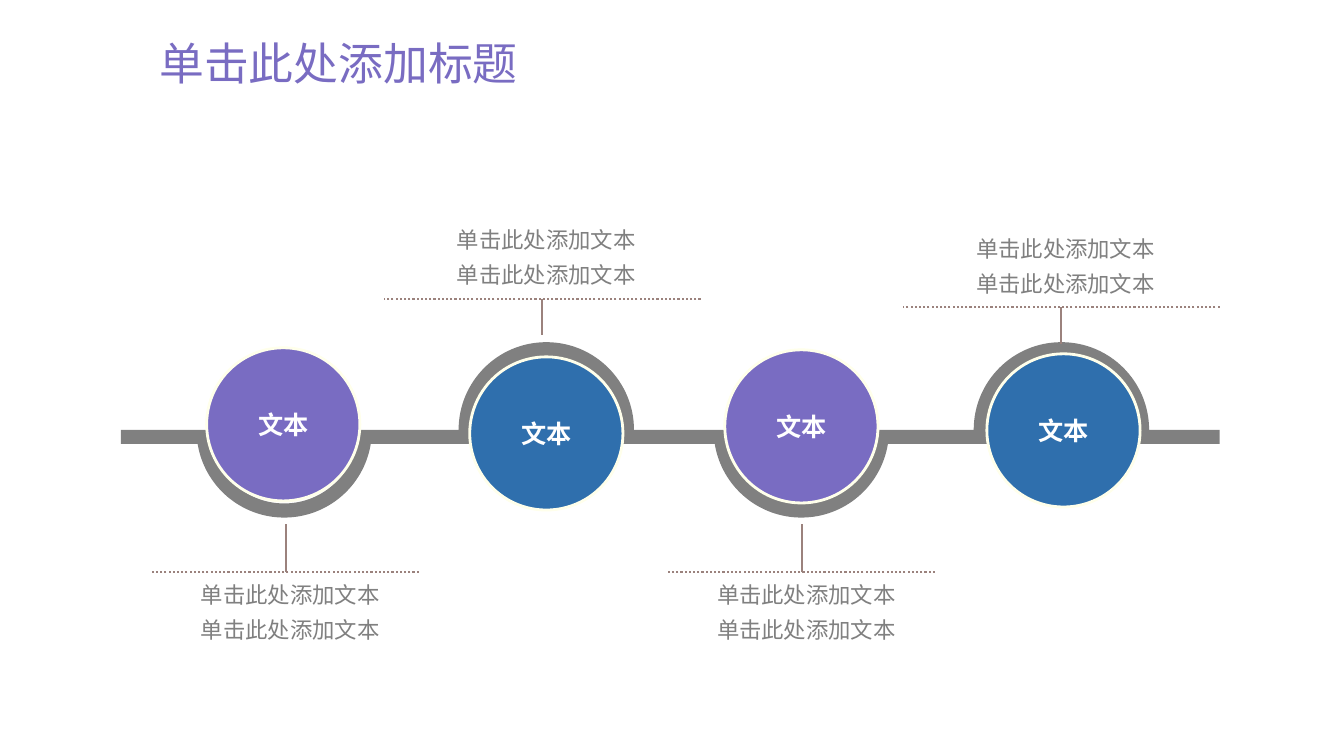
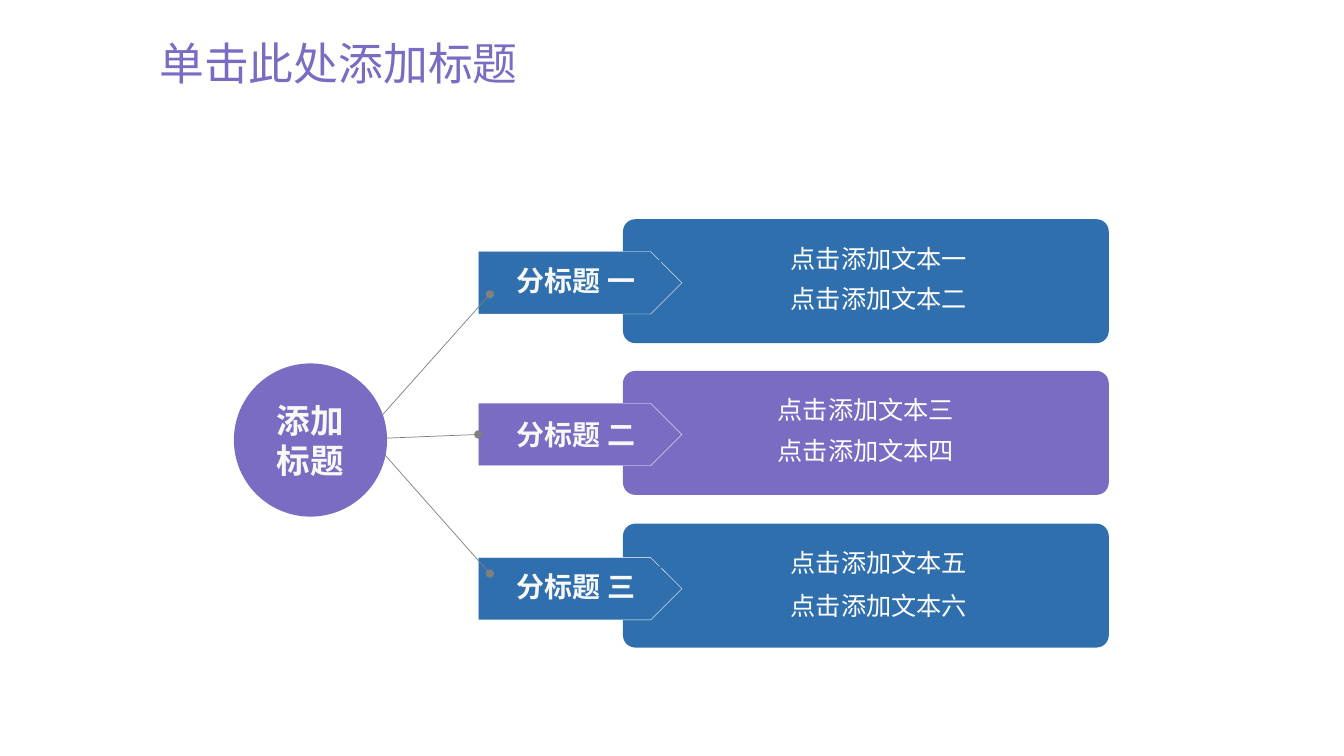
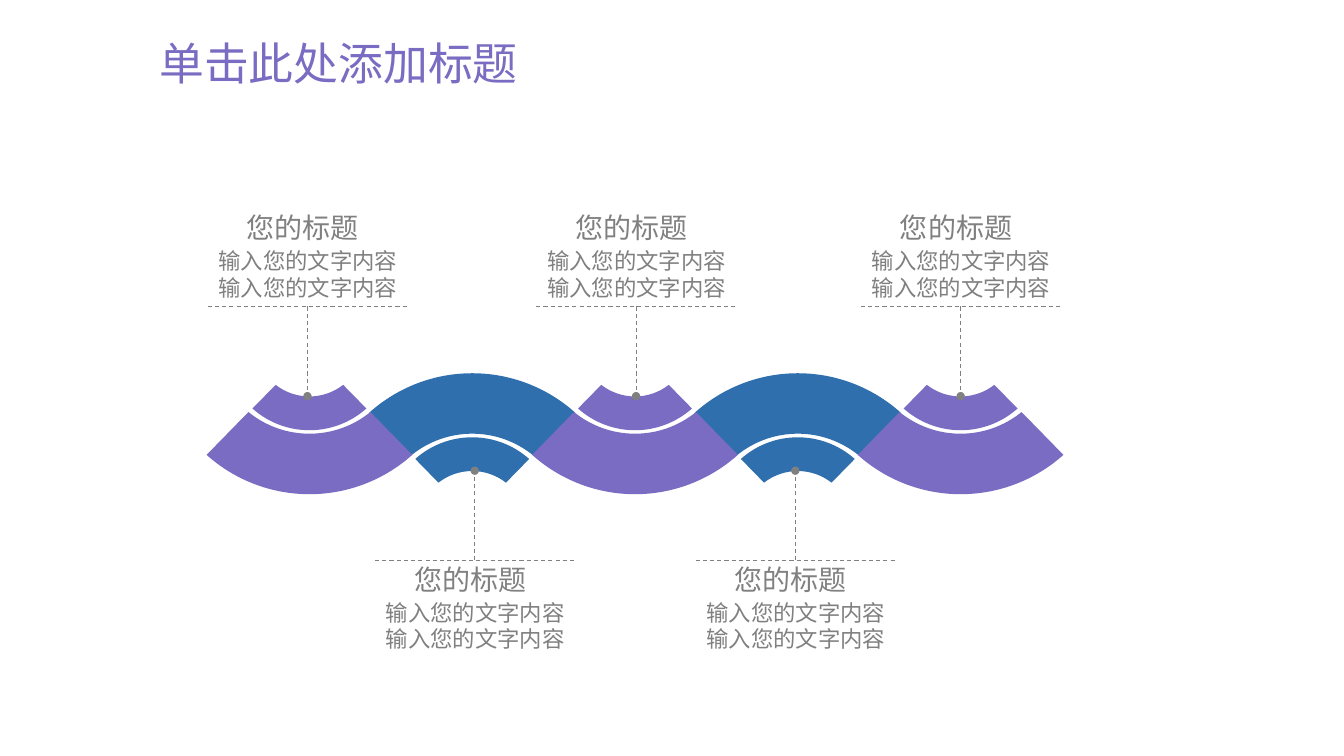
from math import asin, cos, pi, sin, tan

from lxml.etree import SubElement
from pptx import Presentation
from pptx.dml.color import RGBColor
from pptx.enum.dml import MSO_LINE as DASH
from pptx.enum.shapes import MSO_CONNECTOR as LINK, MSO_SHAPE as SHAPE
from pptx.enum.text import MSO_ANCHOR as ANCHOR, MSO_AUTO_SIZE as FIT, PP_ALIGN as ALIGN
from pptx.oxml.ns import qn
from pptx.util import Inches, Pt

# Shared look
PURPLE, BLUE, GREY, WHITE = "796CC2", "2F6FAD", "808080", "FFFFFF"
PALE, BROWN, IVORY = "F8F8F8", "9B827D", "FFFFEB"
CJK = "Noto Sans CJK SC"
MIDDLE = {"vertical_anchor": ANCHOR.MIDDLE}
COLS, ROWS = 133.33, 75  # grid of square cells, a tenth of an inch each
rgb = RGBColor.from_string


def grid(*cells):
    return [Inches(cell / 10) for cell in cells]


def dress(item, fill=None, line=None, width=1, dash=None, ends=(), text=(),
          color=WHITE, font=None, para=None, frame=None):
    """Set fill, line and text of a shape, or the line of a connector."""
    if line:
        item.line.color.rgb = rgb(line)
        item.line.width = Pt(width)
        item.line.dash_style = dash
    else:
        item.line.fill.background()
    if not hasattr(item, "fill"):
        outline = item.line._get_or_add_ln()
        for end in ends:
            SubElement(outline, qn(f"a:{end}"), type="oval")
        SubElement(item._element.spPr, qn("a:effectLst"))
        return
    item.shadow.inherit = False
    if fill:
        item.fill.solid()
        item.fill.fore_color.rgb = rgb(fill)
    else:
        item.fill.background()
    if not text:
        return
    body = item.text_frame
    body.word_wrap = True
    for name, value in (frame or {}).items():
        setattr(body, name, value)
    for index, words in enumerate(text):
        paragraph = body.add_paragraph() if index else body.paragraphs[0]
        for name, value in {"alignment": ALIGN.CENTER, **(para or {})}.items():
            setattr(paragraph, name, value)
        run = paragraph.add_run()
        run.text = words
        for name, value in font.items():
            setattr(run.font, name, value)
        run.font.color.rgb = rgb(color)
        SubElement(run._r.get_or_add_rPr(), qn("a:ea"), typeface=CJK)


deck = Presentation()
deck.slide_width, deck.slide_height = grid(COLS, ROWS)

# Slides with their common title
slides = [deck.slides.add_slide(deck.slide_layouts[5]) for _ in range(3)]
for slide in slides:
    title = slide.shapes.title
    title.left, title.top, title.width, title.height = grid(14.8, 3.6, 115, 5.9)
    dress(title, text=["单击此处添加标题"], color=PURPLE,
          font={"name": "Montserrat", "size": Pt(32)},
          para={"alignment": ALIGN.LEFT, "line_spacing": 0.9},
          frame={"auto_size": FIT.NONE, **MIDDLE})
timeline, branches, wave = [slide.shapes for slide in slides]

# Curved outlines: corners are (x, y), arcs are
# (centre x, centre y, radius, side, first angle, last angle);
# side is 1 for an arc that hangs down, -1 for one that rises
# centre, stem, circle left, circle top, side, rule row
stops = [(28.2, 28.4, 20.5, 34.5, 1, 56.75), (54.2, 53.8, 46.6, 35.4, -1, 29.65),
         (79.5, 79.6, 71.9, 34.7, 1, 56.75), (105.3, 105.3, 97.9, 35.1, -1, 30.5)]
AXIS, BAR, OUTER, INNER, CIRCLE = 42.65, 1.4, 8.7, 7.3, 15.2
START, END = 12, 121
LIFT = asin(BAR / OUTER)

# The track: its upper edge, then its lower edge back to the start
track = [(START, AXIS)]
for center, _, _, _, side, _ in stops:
    track.append((center, AXIS, INNER if side > 0 else OUTER, side, 0, pi))
track += [(END, AXIS), (END, AXIS + BAR)]
for center, _, _, _, side, _ in reversed(stops):
    if side > 0:
        track.append((center, AXIS, OUTER, side, pi - LIFT, LIFT))
    else:
        track += [(center + INNER, AXIS + BAR), (center, AXIS, INNER, side, pi, 0),
                  (center - INNER, AXIS + BAR)]
track.append((START, AXIS + BAR))
outlines = [(timeline, GREY, track)]

# The wave: bands in turn, each mirrored from the one before
MIDLINE, FIRST, PITCH = 43.03, 30.7, 16.15
# Each arc: half width, offset of its ends and of its middle from the midline
sectors = [((5.65, -2.5, -0.35), (3.35, -4.85, -3.7)),
           ((10.2, 2.1, 6), (6.05, -2.15, 0))]
for band in (1, 3, 0, 2, 4):
    side = -1 if band % 2 else 1
    for sector in sectors:
        arcs = []
        for (half, ends, middle), way in zip(sector, (-1, 1)):
            sag = middle - ends
            radius = (half ** 2 + sag ** 2) / (2 * sag)
            spread = way * asin(half / radius)
            arcs.append((FIRST + band * PITCH, MIDLINE + side * (middle - radius),
                         radius, side, pi / 2 + spread, pi / 2 - spread))
        outlines.append((wave, BLUE if side < 0 else PURPLE, arcs))

# Draw the outlines, each arc as two cubic curves
for shapes, fill, parts in outlines:
    points, curves = [], []
    for part in parts:
        if len(part) == 2:
            points.append(grid(*part))
            continue
        x, y, radius, side, first, last = part
        points.append(grid(x - radius * cos(first), y + side * radius * sin(first)))
        turn = (last - first) / 2
        pull = 4 / 3 * tan(turn / 4)
        for begin in (first, first + turn):
            curves.append(len(points) - 1)
            for angle, reach in ((begin, pull), (begin + turn, -pull), (begin + turn, 0)):
                points.append(grid(x + radius * (reach * sin(angle) - cos(angle)),
                                   y + side * radius * (sin(angle) + reach * cos(angle))))
    builder = shapes.build_freeform(*points[0])
    builder.add_line_segments(points[1:])
    figure = builder.convert_to_shape()
    lines = list(figure._element.iter(qn("a:lnTo")))
    for index in curves:
        curve = SubElement(lines[index].getparent(), qn("a:cubicBezTo"))
        lines[index].addprevious(curve)
        for leg in lines[index:index + 3]:
            curve.append(leg[0])
            leg.getparent().remove(leg)
    dress(figure, fill=fill)

# Slide 1: stops on the track with their captions
for _, stem, left, top, side, rule in stops:
    half, shift, stem_end, text_top = ((13.25, -0.1, rule - 4.8, rule - 0.3) if side > 0
                                       else (15.7, 0, rule + 3.6, rule - 8.4))
    for ends, dash in (((stem, rule, stem, stem_end), None),
                       ((stem + shift + half, rule, stem + shift - half, rule),
                        DASH.ROUND_DOT)):
        dress(timeline.add_connector(LINK.STRAIGHT, *grid(*ends)),
              line=BROWN, width=1.5, dash=dash)
    caption = timeline.add_textbox(*grid(stem + 0.4 - 16.2, text_top, 32.4, 7.8))
    dress(caption, text=["单击此处添加文本"] * 2, color=GREY,
          font={"name": CJK, "size": Pt(16)}, para={"line_spacing": 1.3},
          frame={"margin_top": Inches(0.04), "margin_bottom": Inches(0.04)})
    circle = timeline.add_shape(SHAPE.OVAL, *grid(left, top, CIRCLE, CIRCLE))
    dress(circle, fill=PURPLE if side > 0 else BLUE, line=IVORY, width=2, text=["文本"],
          font={"name": CJK, "size": Pt(18), "bold": True}, frame=MIDDLE)

# Slide 2: a hub with three branches
# colour, card top, text left, text width, {text top: text}
cards = [(BLUE, 21.75, 72.6, 29.2, {23.6: "点击添加文本一", 27.6: "点击添加文本二"}),
         (PURPLE, 36.8, 75, 21.8, {38.6: "点击添加文本三", 42.7: "点击添加文本四"}),
         (BLUE, 51.95, 72.6, 29.2, {53.8: "点击添加文本五", 58.1: "点击添加文本六"})]
for color, card_top, left, width, lines in cards:
    card = branches.add_shape(SHAPE.ROUNDED_RECTANGLE, *grid(61.8, card_top, 48.2, 12.3))
    card.adjustments[0] = 0.1
    dress(card, fill=color)
    for top, words in lines.items():
        entry = branches.add_shape(SHAPE.RECTANGLE, *grid(left, top, width, 4))
        dress(entry, fill=color, text=[words], font={"name": "Arial", "size": Pt(18)},
              frame=MIDDLE)

# colour, tag top, label top, label
tags = []
for color, tag_top, label_top, words in ((BLUE, 24.95, 25.8, "分标题 一"),
                                         (PURPLE, 40, 41.1, "分标题 二"),
                                         (BLUE, 55.3, 56.2, "分标题 三")):
    tag = branches.add_shape(SHAPE.PENTAGON, *grid(47.45, tag_top, 20.2, 6.2))
    dress(tag, fill=color, line=WHITE, width=0.25)
    tags.append(tag)
    label = branches.add_shape(SHAPE.RECTANGLE, *grid(48.7, label_top, 16.9, 4))
    dress(label, fill=color, text=[words], color=PALE,
          font={"name": "Arial", "size": Pt(20), "bold": True}, frame=MIDDLE)

for ends, tag in (((36.3, 43, 48.6, 29.2), None),
                  ((35.1, 43.6, 47.4, 43), tags[1]),
                  ((36.3, 43, 48.6, 56.9), None)):
    spoke = branches.add_connector(LINK.STRAIGHT, *grid(*ends))
    if tag:
        spoke.end_connect(tag, 1)
    dress(spoke, line=GREY, width=0.5, ends=("headEnd", "tailEnd"))

hub = branches.add_shape(SHAPE.OVAL, *grid(23.2, 36.05, CIRCLE, CIRCLE))
dress(hub, fill=PURPLE, text=["添加", "标题"], color=PALE,
      font={"name": "Arial", "size": Pt(24), "bold": True}, frame=MIDDLE)

# Slide 3: callouts, above and below the wave in turn
for number, center in enumerate((30.5, 47.1, 63.1, 78.9, 95.3)):
    rule, dot, top = (55.6, 46.7, 55.3) if number % 2 else (30.4, 39.3, 20.4)
    heading = wave.add_textbox(*grid(center - 7, top, 13.2, 4.4))
    dress(heading, text=["您的标题"], color=GREY, font={"name": CJK, "size": Pt(20)},
          para={"alignment": ALIGN.LEFT}, frame={"word_wrap": False})
    detail = wave.add_textbox(*grid(center - 12.4, top + 3.6, 22.3, 6.4))
    dress(detail, text=["输入您的文字内容"] * 2, color=GREY,
          font={"name": CJK, "size": Pt(16)}, para={"alignment": ALIGN.RIGHT})
    for ends, marks in (((center - 9.9, rule, center + 9.9, rule), ()),
                        ((center, rule, center, dot), ("tailEnd",))):
        dress(wave.add_connector(LINK.STRAIGHT, *grid(*ends)),
              line=GREY, width=0.75, dash=DASH.DASH, ends=marks)

deck.save("out.pptx")
